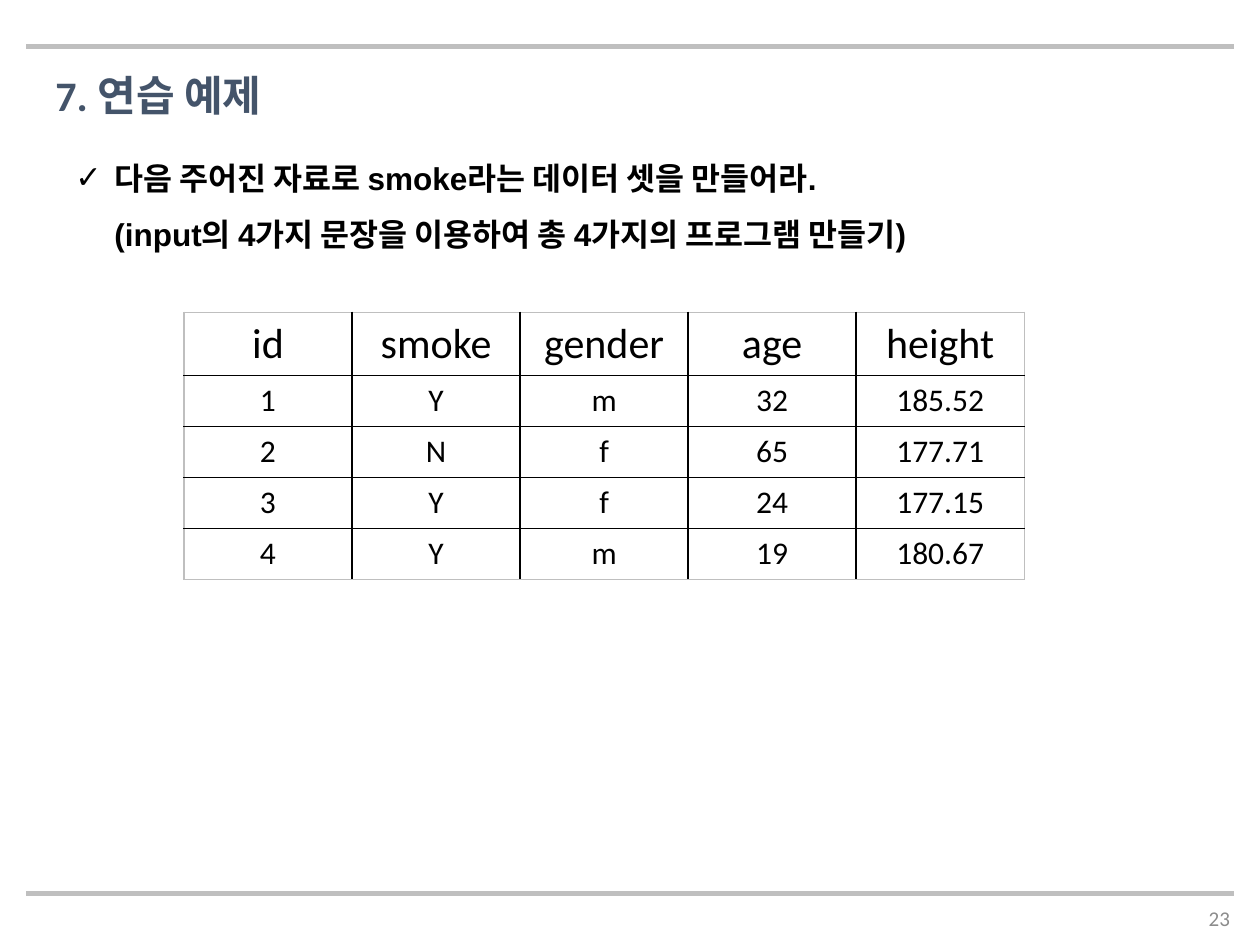
from dataclasses import dataclass

from lxml.etree import SubElement
from pptx import Presentation
from pptx.dml.color import RGBColor
from pptx.enum.shapes import MSO_CONNECTOR
from pptx.enum.text import MSO_ANCHOR, MSO_AUTO_SIZE, PP_ALIGN
from pptx.oxml.ns import qn
from pptx.util import Inches, Pt

BLACK, RULE_GRAY, NUMBER_GRAY, TITLE_BLUE = "000000", "BFBFBF", "8C8C8C", "44546A"

ROWS = [
    ("id", "smoke", "gender", "age", "height"),
    ("1", "Y", "m", "32", "185.52"),
    ("2", "N", "f", "65", "177.71"),
    ("3", "Y", "f", "24", "177.15"),
    ("4", "Y", "m", "19", "180.67"),
]


@dataclass
class TextStyle:
    size: float
    color: str
    font: str = "Calibri"
    bold: bool = False
    align: PP_ALIGN = PP_ALIGN.LEFT


def rgb(color: str) -> RGBColor:
    return RGBColor.from_string(color)


def write(text_frame, text: str, style: TextStyle):
    """Fill a text frame with one styled paragraph."""
    text_frame.text = text
    paragraph = text_frame.paragraphs[0]
    paragraph.alignment = style.align
    for run in paragraph.runs:
        run.font.name = style.font
        run.font.size = Pt(style.size)
        run.font.bold = style.bold
        run.font.color.rgb = rgb(style.color)
    return paragraph


def place(shape, left: float, top: float, width: float, height: float) -> None:
    shape.left, shape.top = Inches(left), Inches(top)
    shape.width, shape.height = Inches(width), Inches(height)


def add_text(slide, box: tuple, text: str, style: TextStyle, anchor=MSO_ANCHOR.TOP):
    shape = slide.shapes.add_textbox(*map(Inches, box))
    shape.text_frame.word_wrap = True
    shape.text_frame.vertical_anchor = anchor
    return write(shape.text_frame, text, style)


def add_rule(slide, top: float) -> None:
    rule = slide.shapes.add_connector(
        MSO_CONNECTOR.STRAIGHT, Inches(0.21), Inches(top), Inches(9.79), Inches(top))
    rule.line.color.rgb = rgb(RULE_GRAY)
    rule.line.width = Pt(3)
    SubElement(rule._element.spPr, qn("a:effectLst"))


def add_check_bullet(paragraph) -> None:
    properties = paragraph._p.get_or_add_pPr()
    properties.set("marL", str(Inches(0.31)))
    properties.set("indent", str(Inches(-0.31)))
    SubElement(properties, qn("a:buFont")).set("typeface", "Arial")
    SubElement(properties, qn("a:buChar")).set("char", "✓")


def add_borders(cell, outer_sides: dict) -> None:
    """Draw gray lines on the table's outer sides and black ones inside."""
    properties = cell._tc.get_or_add_tcPr()
    for side, is_outer in outer_sides.items():
        line = SubElement(properties, qn(f"a:ln{side}"), w=str(Pt(1)))
        fill = SubElement(line, qn("a:solidFill"))
        SubElement(fill, qn("a:srgbClr"), val=RULE_GRAY if is_outer else BLACK)


def add_data_table(slide) -> None:
    row_count, column_count = len(ROWS), len(ROWS[0])
    table = slide.shapes.add_table(
        row_count, column_count, Inches(1.46), Inches(2.48), Inches(6.67), Inches(2.12)).table
    table.first_row = table.horz_banding = False
    for row, values in enumerate(ROWS):
        table.rows[row].height = Inches(0.5 if row == 0 else 0.405)
        style = TextStyle(24 if row == 0 else 18, BLACK, align=PP_ALIGN.CENTER)
        for column, value in enumerate(values):
            cell = table.cell(row, column)
            write(cell.text_frame, value, style)
            add_borders(cell, {"L": column == 0, "R": column == column_count - 1,
                               "T": row == 0, "B": row == row_count - 1})
            cell.fill.background()


def main() -> None:
    presentation = Presentation()
    presentation.slide_width, presentation.slide_height = Inches(10), Inches(7.5)
    slide = presentation.slides.add_slide(presentation.slide_layouts[5])

    # Page frame
    add_text(slide, (9.41, 7.09, 0.45, 0.4), "23",
             TextStyle(12, NUMBER_GRAY, align=PP_ALIGN.RIGHT), MSO_ANCHOR.MIDDLE)
    for top in (0.37, 7.09):
        add_rule(slide, top)

    # Title
    title = slide.shapes.title
    place(title, 0.34, 0.5, 6.11, 0.5)
    title.text_frame.auto_size = MSO_AUTO_SIZE.NONE
    title.text_frame.vertical_anchor = MSO_ANCHOR.TOP
    write(title.text_frame, "7. 연습 예제", TextStyle(24, TITLE_BLUE, bold=True))

    # Exercise
    exercise = add_text(
        slide, (0.5, 1.06, 9.25, 0.95),
        "다음 주어진 자료로 smoke라는 데이터 셋을 만들어라.\v"
        "(input의 4가지 문장을 이용하여 총 4가지의 프로그램 만들기)",
        TextStyle(18, BLACK, "Arial", bold=True))
    add_check_bullet(exercise)
    exercise.line_spacing = 1.5

    # Data
    add_data_table(slide)

    presentation.save("out.pptx")


if __name__ == "__main__":
    main()
